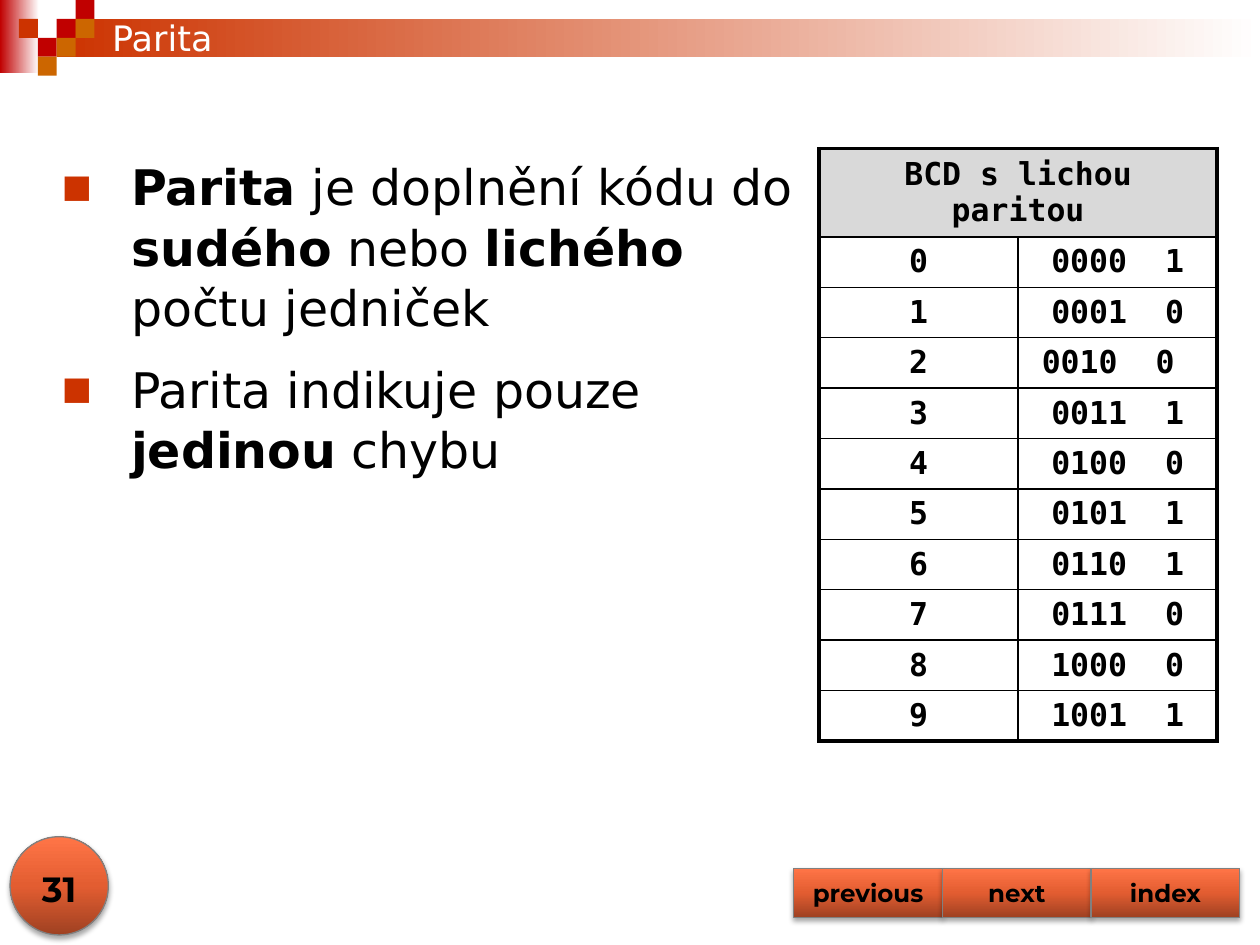
"""Build a slide on parity with a table of odd-parity BCD codes."""
import dataclasses

import lxml.etree
import pptx
import pptx.dml.color
import pptx.enum.shapes
import pptx.enum.text
import pptx.oxml.ns
import pptx.util

SHAPE = pptx.enum.shapes.MSO_SHAPE
ALIGN = pptx.enum.text.PP_ALIGN
ANCHOR = pptx.enum.text.MSO_ANCHOR
FIT = pptx.enum.text.MSO_AUTO_SIZE
COLUMNS, ROWS = 100, 75
BLOCK = 1.5


@dataclasses.dataclass(frozen=True)
class Theme:
    red: str = "C00000"
    brick: str = "CC3300"
    ochre: str = "CC6600"
    white: str = "FFFFFF"
    black: str = "000000"
    header: str = "D9D9D9"
    outline: str = "808080"
    glossy: tuple = ("9F4122", "E35D31", "FF7547")
    sans: str = "DejaVu Sans"
    mono: str = "DejaVu Sans Mono"
    display: str = "Montserrat"
    title: float = 20
    body: float = 28
    cell: float = 18
    number: float = 20
    button: float = 14
    thick: float = 2.25
    thin: float = 1


def assign(target, **values):
    for name, value in values.items():
        setattr(target, name, value)


def rgb(color):
    return pptx.dml.color.RGBColor.from_string(color)


def add(parent, tag, **values):
    attributes = {name: str(value) for name, value in values.items()}
    return lxml.etree.SubElement(parent, pptx.oxml.ns.qn(tag), attributes)


class SlideBuilder:
    def __init__(self, deck, theme):
        self.deck, self.theme = deck, theme
        self.page = deck.slides.add_slide(deck.slide_layouts[1])

    def place(self, column, row, wide, high):
        across, down = self.deck.slide_width / COLUMNS, self.deck.slide_height / ROWS
        return [round(share) for share in (column * across, row * down, wide * across, high * down)]

    def move(self, box, area):
        assign(box, **dict(zip(("left", "top", "width", "height"), self.place(*area))))

    def add_span(self, para, text, font, size, color=None, bold=False):
        span = para.add_run()
        span.text = text
        assign(span.font, name=font, size=pptx.util.Pt(size), bold=bold)
        span.font.color.rgb = rgb(color or self.theme.black)

    def label(self, frame, text, font, size, anchor=ANCHOR.MIDDLE):
        assign(frame, vertical_anchor=anchor, word_wrap=True)
        frame.paragraphs[0].alignment = ALIGN.CENTER
        self.add_span(frame.paragraphs[0], text, font, size, bold=True)

    def shape(self, area, colors, kind=SHAPE.RECTANGLE, angle=0, parent=None):
        box = (parent or self.page).shapes.add_shape(kind, *self.place(*area))
        box.shadow.inherit = False
        box.line.fill.background()
        if len(colors) == 1:
            box.fill.solid()
            box.fill.fore_color.rgb = rgb(colors[0])
            return box
        box.fill.gradient()
        gradient = box.element.spPr.find(pptx.oxml.ns.qn("a:gradFill"))
        for child in list(gradient):
            gradient.remove(child)
        stops = add(gradient, "a:gsLst")
        for index, color in enumerate(colors):
            stop = add(stops, "a:gs", pos=100000 * index // (len(colors) - 1))
            add(stop, "a:srgbClr", val=color)
        add(gradient, "a:lin", ang=angle * 60000, scaled=0)
        return box

    def glossy(self, area, kind):
        box = self.shape(area, self.theme.glossy, kind, angle=270)
        box.line.color.rgb = rgb(self.theme.outline)
        box.line.width = pptx.util.Pt(0.75)
        effects = box.element.spPr.find(pptx.oxml.ns.qn("a:effectLst"))
        shadow = add(effects, "a:outerShdw", blurRad=pptx.util.Pt(3.1),
                     dist=pptx.util.Pt(1.8), dir=90 * 60000, rotWithShape=0)
        add(add(shadow, "a:srgbClr", val=self.theme.black), "a:alpha", val=35000)
        return box

    def banner(self, squares):
        group = self.page.shapes.add_group_shape()
        self.shape((0, 0, 3.1, 5.8), (self.theme.red, self.theme.white), parent=group)
        self.shape((4.5, 1.5, 95.5, 3), (self.theme.brick, self.theme.white), parent=group)
        for column, row, color in squares:
            self.shape((column * BLOCK, row * BLOCK, BLOCK, BLOCK), (color,), parent=group)

    def title(self, text, area):
        box = self.page.shapes.title
        self.move(box, area)
        assign(box.text_frame, vertical_anchor=ANCHOR.MIDDLE, auto_size=FIT.NONE)
        para = box.text_frame.paragraphs[0]
        para.alignment = ALIGN.LEFT
        self.add_span(para, text, self.theme.sans, self.theme.title, self.theme.white)
        box.element.getparent().append(box.element)

    def bullets(self, items, area):
        box = self.page.placeholders[1]
        self.move(box, area)
        frame = box.text_frame
        assign(frame, vertical_anchor=ANCHOR.TOP, auto_size=FIT.NONE, word_wrap=True)
        hanging = pptx.util.Inches(0.55)
        for index, item in enumerate(items):
            para = frame.add_paragraph() if index else frame.paragraphs[0]
            properties = para._p.get_or_add_pPr()
            assign(para, space_before=pptx.util.Pt(0), space_after=pptx.util.Pt(12),
                   line_spacing=1.03, alignment=ALIGN.LEFT)
            properties.set("marL", str(hanging))
            properties.set("indent", str(-hanging))
            add(add(properties, "a:buClr"), "a:srgbClr", val=self.theme.brick)
            add(properties, "a:buSzPct", val=65000)
            add(properties, "a:buFont", typeface=self.theme.sans)
            add(properties, "a:buChar", char="■")
            for text, bold in item:
                self.add_span(para, text, self.theme.sans, self.theme.body, bold=bold)

    def borders(self, cell, outer):
        properties = cell._tc.get_or_add_tcPr()
        for index, side in enumerate("LRTB"):
            width = self.theme.thick if side in outer else self.theme.thin
            line = add(properties, f"a:ln{side}", w=pptx.util.Pt(width))
            add(add(line, "a:solidFill"), "a:srgbClr", val=self.theme.black)
            properties.insert(index, line)

    def table(self, heading, rows, area, heading_rows, body_rows):
        grid = self.page.shapes.add_table(len(rows) + 1, 2, *self.place(*area)).table
        assign(grid, first_row=False, horz_banding=False)
        for index, row in enumerate(grid.rows):
            row.height = self.place(0, 0, 0, body_rows if index else heading_rows)[3]
        grid.cell(0, 0).merge(grid.cell(0, 1))
        for index, texts in enumerate([(heading, ""), *rows]):
            for column, text in enumerate(texts):
                cell = grid.cell(index, column)
                cell.fill.background()
                if index == 0:
                    cell.fill.solid()
                    cell.fill.fore_color.rgb = rgb(self.theme.header)
                outer = "LR"[column] + ("B" if index == len(rows) else "")
                self.borders(cell, outer if index else "LRT")
                if text:
                    cell.vertical_anchor = ANCHOR.MIDDLE
                    para = cell.text_frame.paragraphs[0]
                    para.alignment = ALIGN.CENTER
                    self.add_span(para, text, self.theme.mono, self.theme.cell, bold=True)

    def number(self, text):
        self.glossy((0.8, 66.4, 7.8, 7.8), SHAPE.OVAL)
        box = self.page.shapes.add_textbox(*self.place(0, 67.7, 9.4, 5))
        self.label(box.text_frame, text, self.theme.display, self.theme.number, ANCHOR.BOTTOM)

    def buttons(self, names, column, row, wide, high):
        for index, name in enumerate(names):
            area = (column + index * wide, row, wide, high)
            box = self.glossy(area, SHAPE.ACTION_BUTTON_CUSTOM)
            self.label(box.text_frame, name, self.theme.display, self.theme.button)


def main():
    deck = pptx.Presentation()
    assign(deck, slide_width=pptx.util.Inches(10), slide_height=pptx.util.Inches(7.5))
    theme = Theme()
    slide = SlideBuilder(deck, theme)
    slide.banner([(3, 1, theme.red), (4, 0, theme.red), (4, 1, theme.ochre),
                  (2, 2, theme.red), (1, 1, theme.brick), (3, 2, theme.ochre),
                  (2, 3, theme.ochre)])
    slide.bullets([
        [("Parita", True), (" je doplnění kódu do ", False), ("sudého", True),
         (" nebo ", False), ("lichého", True), (" počtu jedniček", False)],
        [("Parita indikuje pouze ", False), ("jedinou", True), (" chybu", False)],
    ], (3.9, 11.8, 60.2, 26.3))
    codes = ["0000  1", "0001  0", "0010  0 ", "0011  1", "0100  0",
             "0101  1", "0110  1", "0111  0", "1000  0", "1001  1"]
    rows = [(str(digit), code) for digit, code in enumerate(codes)]
    slide.table("BCD s lichou paritou", rows, (65, 11.8, 31.6, 47), 7, 4)
    slide.number("31")
    slide.buttons(["previous", "next", "index"], 63, 68.9, 11.8, 3.9)
    slide.title("Parita", (7.9, 0.8, 85, 4.4))
    deck.save("out.pptx")


if __name__ == "__main__":
    main()
